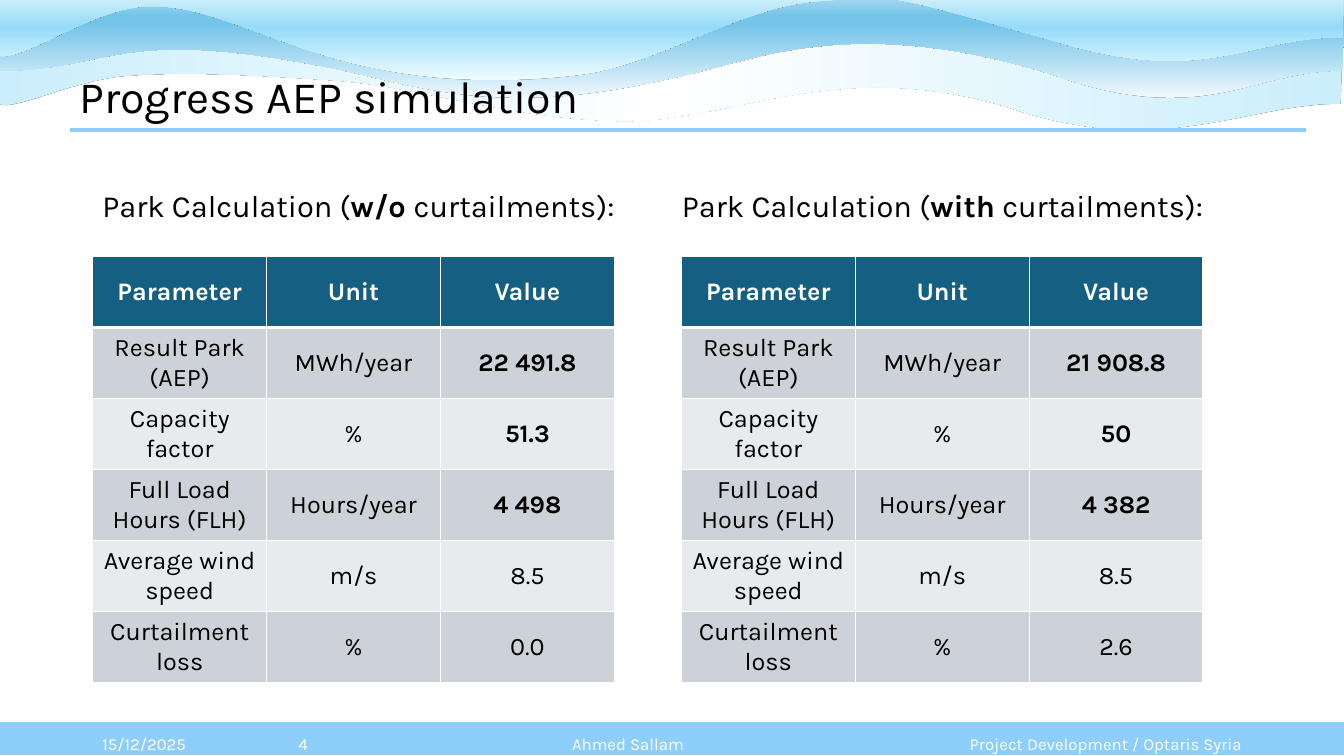
from lxml import etree
from pptx import Presentation
from pptx import util as u
from pptx.dml.color import RGBColor
from pptx.enum import shapes, text
from pptx.oxml import ns

WHITE = RGBColor(0xFF, 0xFF, 0xFF)
BLACK = RGBColor(0, 0, 0)
SKY = RGBColor(0x8E, 0xCE, 0xFA)
TEAL = RGBColor(0x15, 0x60, 0x82)
GREY = RGBColor(0xCC, 0xD2, 0xD8)
PALE = RGBColor(0xE8, 0xEA, 0xED)
ICE = RGBColor(0xCA, 0xEE, 0xFB)
MIST = RGBColor(0xF0, 0xF8, 0xFD)
WAVE = RGBColor(0x74, 0xC4, 0xE9)
FOAM = RGBColor(0xA2, 0xD8, 0xF0)
AQUA = RGBColor(0x96, 0xDC, 0xF8)
FROST = RGBColor(0xEF, 0xFC, 0xFF)

LEFT, CENTER, RIGHT = (text.PP_ALIGN.LEFT, text.PP_ALIGN.CENTER,
                       text.PP_ALIGN.RIGHT)
TOP, MIDDLE = text.MSO_ANCHOR.TOP, text.MSO_ANCHOR.MIDDLE


def add(node, tag, **attrs):
    return etree.SubElement(node, ns.qn(tag), **attrs)


class Page:
    """A slide on a grid with columns and rows of a tenth of an inch."""
    font = "Karla"
    step = u.Inches(0.1)

    def __init__(self, deck):
        self.slide = deck.slides.add_slide(deck.slide_layouts[6])
        self.items = self.slide.shapes

    def grid(self, *cells):
        return [u.Emu(round(n * self.step)) for n in cells]

    def style(self, par, size, color, align):
        par.alignment = align
        par.font.name = self.font
        par.font.size = u.Pt(size)
        par.font.color.rgb = color

    def wave(self, box, bends, base, stops, angle):
        """A half-turned outline: a chain of cubic curves, then lines."""
        x, y, w, h = box
        x2, y2 = x + w, y + h
        pen = self.items.build_freeform(*self.grid(x, y))
        pen.add_line_segments([self.grid(*dot) for dot in
                               ((x2, y), (x2, y2), (x, y2))])
        shape = pen.convert_to_shape()
        shape.rotation = 180
        props = shape._element.spPr

        # Curves, counted from the far corner because of the half turn
        path = props.find(".//" + ns.qn("a:path"))
        for old in list(path):
            path.remove(old)
        parts = [("a:moveTo", bends[:1])]
        parts += [("a:cubicBezTo", bends[i:i + 3])
                  for i in range(1, len(bends), 3)]
        parts += [("a:lnTo", [dot]) for dot in base]
        for tag, dots in parts:
            part = add(path, tag)
            for px, py in dots:
                across, down = self.grid(x2 - px, y2 - py)
                add(part, "a:pt", x=str(across), y=str(down))
        add(path, "a:close")

        # Gradient and hard shadow
        shape.line.fill.background()
        shape.fill.gradient()
        shape.fill.gradient_angle = angle
        ramp = props.find(".//" + ns.qn("a:gsLst"))
        for old in list(ramp):
            ramp.remove(old)
        for pos, color in stops:
            stop = add(ramp, "a:gs", pos=str(pos * 1000))
            add(stop, "a:srgbClr", val=str(color))
        shape.shadow.inherit = False
        shade = add(props.find(ns.qn("a:effectLst")), "a:outerShdw",
                    blurRad="0", dist="0", dir="0")
        add(shade, "a:srgbClr", val=str(BLACK))

    def bar(self, x, y, w, h, color):
        shape = self.items.add_shape(shapes.MSO_SHAPE.RECTANGLE,
                                     *self.grid(x, y, w, h))
        shape.shadow.inherit = False
        shape.fill.solid()
        shape.fill.fore_color.rgb = color
        shape.line.color.rgb = WHITE
        shape.line.width = u.Pt(1.5)

    def rule(self, x, y, end, color):
        line = self.items.add_connector(shapes.MSO_CONNECTOR.STRAIGHT,
                                        *self.grid(x, y, end, y))
        line.line.color.rgb = color
        line.line.width = u.Pt(3)
        add(line._element.spPr, "a:effectLst")

    def label(self, x, y, w, h, runs, size, color=BLACK, align=LEFT,
              anchor=TOP, gap=1.0):
        frame = self.items.add_textbox(*self.grid(x, y, w, h)).text_frame
        frame.word_wrap = True
        frame.vertical_anchor = anchor
        par = frame.paragraphs[0]
        par.line_spacing = gap
        self.style(par, size, color, align)
        for words, bold in runs:
            run = par.add_run()
            run.text = words
            if bold:
                run.font.bold = True

    def edges(self, cell, top, foot):
        props = cell._tc.get_or_add_tcPr()
        for side, width in zip("LRTB", (1, 1, top, foot)):
            line = add(props, "a:ln" + side, w=str(u.Pt(width)))
            add(add(line, "a:solidFill"), "a:srgbClr", val=str(WHITE))

    def table(self, x, y, w, h, rows, strong):
        """strong: the rows whose value is bold."""
        table = self.items.add_table(len(rows), len(rows[0]),
                                     *self.grid(x, y, w, h)).table
        table.first_row = table.horz_banding = False
        for i, row in enumerate(rows):
            head = i == 0
            fill = TEAL if head else GREY if i % 2 else PALE
            for j, words in enumerate(row):
                cell = table.cell(i, j)
                self.edges(cell, 3 if i == 1 else 1, 3 if head else 1)
                cell.fill.solid()
                cell.fill.fore_color.rgb = fill
                cell.vertical_anchor = MIDDLE
                cell.text = words
                par = cell.text_frame.paragraphs[0]
                self.style(par, 18, WHITE if head else BLACK, CENTER)
                par.font.bold = head or (j == 2 and i in strong)


def main():
    deck = Presentation()
    deck.slide_width, deck.slide_height = u.Inches(40 / 3), u.Inches(7.5)
    page = Page(deck)

    # Waves, from back to front
    page.wave(
        (-0.4, 3, 133.6, 9.8),
        [(133, 10.3), (123.7, 10.2), (115.2, 15.9), (99.9, 10.6),
         (82.7, 5.4), (72.1, 12.4), (61, 12), (49.9, 11.6), (42.1, 8.7),
         (33.5, 8), (24.9, 7.4), (18.3, 7.1), (12.7, 7.5), (7.1, 7.9),
         (1.4, 11.1), (-0.2, 10.3), (-0.2, 8), (-0.4, 5.3), (-0.4, 3)],
        [(31.3, 3.1), (65.2, 3.4), (94.1, 3.2), (133.2, 3.4)],
        [(0, ICE), (50, WHITE), (100, ICE)], 0)
    page.wave(
        (0, -0.1, 133.3, 9.8),
        [(133.2, 7), (123.9, 7), (119.6, 12.8), (104.4, 7.4), (87.1, 2),
         (77.3, 5), (70.6, 6.8), (52.8, 11.4), (45.9, 9.8), (34.6, 7.1),
         (11.3, 2.2), (11.5, 7), (0, 7), (0, 4.7), (0.1, 2.4), (0.1, 0)],
        [(31.3, 0.1), (65.4, -0.1), (94.6, 0), (133.3, 0.4)],
        [(0, MIST), (74, WAVE), (83, WAVE), (100, FOAM)], 270)
    page.wave(
        (-0.3, -2.6, 133.6, 10.6),
        [(133.2, 3.7), (123.9, 3.6), (119.6, 8.8), (104.4, 4), (87.2, -0.8),
         (89.1, -0.5), (81.3, 0.1), (73.5, 0.6), (65.3, 6.4), (57.6, 7.4),
         (49.8, 8.4), (42.4, 8.1), (34.7, 6.2), (25.8, 3.8), (20.7, 0.6),
         (15, 0.6), (9.2, 0.6), (2.2, 6.3), (-0.3, 5.5), (-0.2, 3.4),
         (0.1, -0.4), (0.1, -2.5)],
        [(31.3, -2.4), (65.4, -2.6), (94.6, -2.5), (133.3, -2.2)],
        [(0, FROST), (50, AQUA), (100, WHITE)], 270)

    # Footer bar and title
    page.bar(-0.1, 71.5, 133.5, 3.5, SKY)
    page.rule(6.9, 12.9, 129.6, SKY)
    page.label(6.9, 6.3, 87.3, 11.8, [("Progress AEP simulation", False)], 32)

    # Headings and result tables
    names = [("Result Park (AEP)", "MWh/year"), ("Capacity factor", "%"),
             ("Full Load Hours (FLH)", "Hours/year"),
             ("Average wind speed", "m/s"), ("Curtailment loss", "%")]
    parks = [
        (9.17, 9.2, [("Park Calculation (", False), ("w/o ", True),
                     ("curtailments):", False)],
         ["22 491.8", "51.3", "4 498", "8.5", "0.0"]),
        (66.67, 67.6, [("Park Calculation (", False), ("with", True),
                       (" curtailments):", False)],
         ["21 908.8", "50", "4 382", "8.5", "2.6"])]
    for left, edge, runs, values in parks:
        page.label(left, 18.45, 57.5, 49.1, runs, 22, gap=0.9)
        rows = [("Parameter", "Unit", "Value")]
        rows += [(*name, value) for name, value in zip(names, values)]
        page.table(edge, 25.45, 51.75, 42.3, rows, strong=(1, 2, 3))

    # Footer text
    for left, width, words, align in [
            (9.17, 12.2, "15/12/2025", LEFT),
            (53.7, 17.2, "Ahmed Sallam", CENTER),
            (92.7, 31.5, "Project Development / Optaris Syria", RIGHT),
            (21.3, 10.2, "4", RIGHT)]:
        page.label(left, 71.8, width, 4, [(words, False)], 12, WHITE, align,
                   MIDDLE)

    deck.save("out.pptx")


if __name__ == "__main__":
    main()
